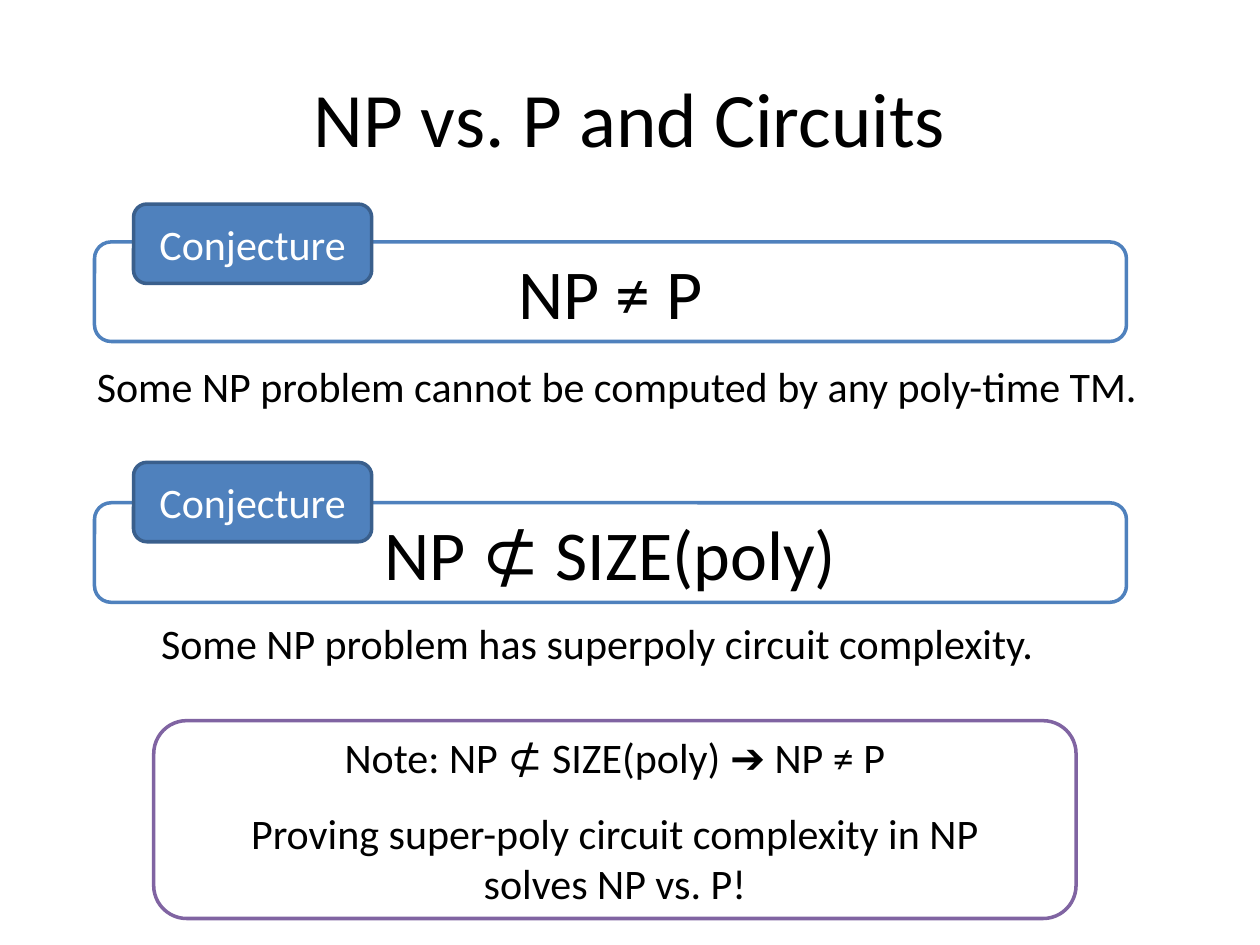
from pptx import Presentation
from pptx.dml.color import RGBColor
from pptx.enum.shapes import MSO_SHAPE as Shape
from pptx.enum.text import MSO_ANCHOR as Anchor, MSO_AUTO_SIZE as Fit, PP_ALIGN as Align
from pptx.util import Inches, Pt

BLACK = RGBColor(0x00, 0x00, 0x00)
WHITE = RGBColor(0xFF, 0xFF, 0xFF)
BLUE = RGBColor(0x4F, 0x81, 0xBD)
NAVY = RGBColor(0x3A, 0x5F, 0x8C)
PURPLE = RGBColor(0x80, 0x64, 0xA2)


def write(frame, lines, size, color=BLACK, align=Align.CENTER):
    frame.text = "\n".join(lines)
    for par in frame.paragraphs:
        par.alignment = align
        par.font.name = "Calibri"
        par.font.size = Pt(size)
        par.font.color.rgb = color


def add_box(shapes, spot, lines, size, fill, line, color=BLACK):
    box = shapes.add_shape(Shape.ROUNDED_RECTANGLE, *map(Inches, spot))
    box.shadow.inherit = False
    box.fill.solid()
    box.fill.fore_color.rgb = fill
    box.line.color.rgb = line
    box.line.width = Pt(2)
    box.text_frame.vertical_anchor = Anchor.MIDDLE
    write(box.text_frame, lines, size, color)
    return box


prs = Presentation()
prs.slide_width, prs.slide_height = Inches(10), Inches(7.5)
slide = prs.slides.add_slide(prs.slide_layouts[5])

# Title
title = slide.shapes.title
title.left, title.top = Inches(0.5), Inches(0.3)
title.width, title.height = Inches(9), Inches(1.25)
title.text_frame.vertical_anchor = Anchor.MIDDLE
write(title.text_frame, ["NP vs. P and Circuits"], 44)

# Conjectures: statement, tag on its upper edge, explanation below
claims = [
    ("NP ≠ P", 1.92, 1.62,
     "Some NP problem cannot be computed by any poly-time TM.", (0.67, 2.81, 8.54, 0.5)),
    ("NP ⊄ SIZE(poly)", 3.99, 3.67,
     "Some NP problem has superpoly circuit complexity.", (1.18, 4.85, 7.29, 0.5)),
]
for claim, top, tag_top, gloss, spot in claims:
    group = slide.shapes.add_group_shape().shapes
    add_box(group, (0.75, top, 8.19, 0.79), [claim], 40, WHITE, BLUE)
    add_box(group, (1.06, tag_top, 1.89, 0.63), ["Conjecture"], 24, BLUE, NAVY, WHITE)
    frame = group.add_textbox(*map(Inches, spot)).text_frame
    frame.word_wrap = False
    frame.auto_size = Fit.SHAPE_TO_FIT_TEXT
    write(frame, [gloss], 24, align=Align.LEFT)

# Closing note
note = add_box(slide.shapes, (1.22, 5.72, 7.32, 1.57), [
    "Note: NP ⊄ SIZE(poly) ➔ NP ≠ P",
    "Proving super-poly circuit complexity in NP",
    "solves NP vs. P!",
], 24, WHITE, PURPLE)
note.text_frame.paragraphs[0].space_after = Pt(14.5)

prs.save("out.pptx")
